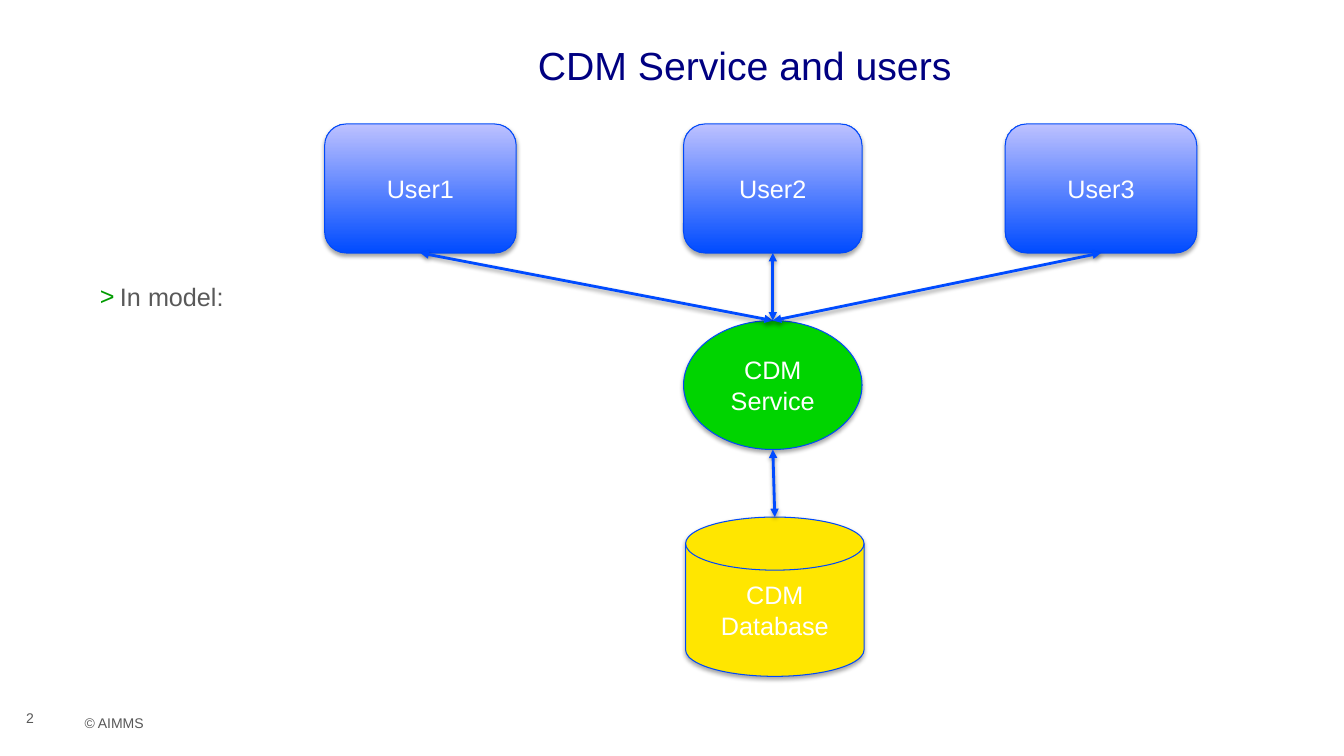
from lxml.etree import SubElement
from pptx import Presentation
from pptx.dml.color import RGBColor
from pptx.enum.shapes import MSO_CONNECTOR, MSO_SHAPE
from pptx.enum.text import MSO_ANCHOR, PP_ALIGN
from pptx.oxml.ns import qn
from pptx.util import Inches, Pt

COLORS = {
    "title": "000081", "text": "595959", "foot": "585858",
    "bullet": "009B00", "white": "FFFFFF", "black": "000000",
    "blue": "004BFF", "pale": "BDC1FF", "edge": "0049F9",
    "green": "00D400", "yellow": "FFE600",
}


def color(name):
    return RGBColor.from_string(COLORS[name])


def place(item, box):
    item.left, item.top, item.width, item.height = map(Inches, box)


def style(frame, size, name, align, anchor):
    frame.word_wrap = True
    frame.vertical_anchor = anchor
    for para in frame.paragraphs:
        para.alignment = align
        para.font.size = Pt(size)
        para.font.name = "Arial"
        para.font.color.rgb = color(name)


def shade(item, dist, alpha):
    """Soft shadow straight below the item."""
    props = item._element.spPr
    for old in props.findall(qn("a:effectLst")):
        props.remove(old)
    glow = SubElement(SubElement(props, qn("a:effectLst")), qn("a:outerShdw"),
                      blurRad=str(Pt(3.1)), dist=str(Pt(dist)),
                      dir="5400000", rotWithShape="0")
    tone = SubElement(glow, qn("a:srgbClr"), val=COLORS["black"])
    SubElement(tone, qn("a:alpha"), val=str(alpha * 1000))


def add_title(slide, box):
    title = slide.shapes.title
    place(title, box)
    title.text_frame.text = "CDM Service and users"
    style(title.text_frame, 28, "title", PP_ALIGN.CENTER, MSO_ANCHOR.MIDDLE)


def add_body(slide, box):
    body = slide.placeholders[1]
    place(body, box)
    frame = body.text_frame
    frame.text = "In model:"
    para = frame.paragraphs[0]
    para.space_before = Pt(0)
    props = para._p.get_or_add_pPr()
    props.set("marL", str(Inches(0.2)))
    props.set("indent", str(Inches(-0.2)))
    tint = SubElement(props, qn("a:buClr"))
    SubElement(tint, qn("a:srgbClr"), val=COLORS["bullet"])
    SubElement(props, qn("a:buFont"), typeface="Arial")
    SubElement(props, qn("a:buChar"), char=">")
    style(frame, 18, "text", PP_ALIGN.LEFT, MSO_ANCHOR.MIDDLE)


def add_note(slide, text, box, anchor):
    note = slide.shapes.add_textbox(*map(Inches, box))
    note.text_frame.text = text
    style(note.text_frame, 10, "foot", PP_ALIGN.LEFT, anchor)


def add_node(slide, kind, text, box, fill=None):
    node = slide.shapes.add_shape(kind, *map(Inches, box))
    if fill:
        node.fill.solid()
        node.fill.fore_color.rgb = color(fill)
    else:
        node.fill.gradient()
        node.fill.gradient_angle = 90
        for stop, name in zip(node.fill.gradient_stops, ("blue", "pale")):
            stop.color.rgb = color(name)
    node.line.color.rgb = color("edge")
    node.line.width = Pt(0.75)
    shade(node, 1.8, 35)
    node.text_frame.text = text
    style(node.text_frame, 18, "white", PP_ALIGN.CENTER, MSO_ANCHOR.MIDDLE)
    return node


def add_arrow(slide, start, end):
    """Double arrow from the bottom of one node to the top of another."""
    arrow = slide.shapes.add_connector(
        MSO_CONNECTOR.STRAIGHT,
        start.left + start.width // 2, start.top + start.height,
        end.left + end.width // 2, end.top)
    arrow.line.color.rgb = color("blue")
    arrow.line.width = Pt(2)
    line = arrow.line._get_or_add_ln()
    for tag in ("a:headEnd", "a:tailEnd"):
        SubElement(line, qn(tag), type="triangle")
    shade(arrow, 1.6, 38)
    return arrow


def add_chart(slide, box):
    """Users on top, the service below them, the database at the bottom."""
    left, top, width, height = box
    mid, size = left + 3.56, 1.77
    hub = add_node(slide, MSO_SHAPE.OVAL, "CDM\vService",
                   (mid, top + 1.95, size, 1.28), "green")
    store = add_node(slide, MSO_SHAPE.FLOWCHART_MAGNETIC_DISK, "CDM Database",
                     (mid + 0.02, top + 3.9, size, height - 3.9), "yellow")

    # Users and their links to the service
    spots = ((left, 1.9), (mid, size), (left + width - 1.9, 1.9))
    for count, (spot, wide) in enumerate(spots, 1):
        user = add_node(slide, MSO_SHAPE.ROUNDED_RECTANGLE, f"User{count}",
                        (spot, top, wide, 1.28))
        arrow = add_arrow(slide, user, hub)
        arrow.begin_connect(user, 2)
        arrow.end_connect(hub, 0)

    add_arrow(slide, hub, store)


def main():
    deck = Presentation()
    deck.slide_width, deck.slide_height = Inches(13.33), Inches(7.5)
    slide = deck.slides.add_slide(deck.slide_layouts[1])
    add_title(slide, (5.13, 0.34, 4.51, 0.6))
    add_body(slide, (0.89, 2.69, 2.3, 0.5))
    add_chart(slide, (3.22, 1.23, 8.65, 5.48))
    # Footer
    add_note(slide, "2", (0.16, 6.86, 0.51, 0.4), MSO_ANCHOR.BOTTOM)
    add_note(slide, "© AIMMS", (0.74, 7.04, 0.8, 0.27), MSO_ANCHOR.TOP)
    deck.save("out.pptx")


if __name__ == "__main__":
    main()
